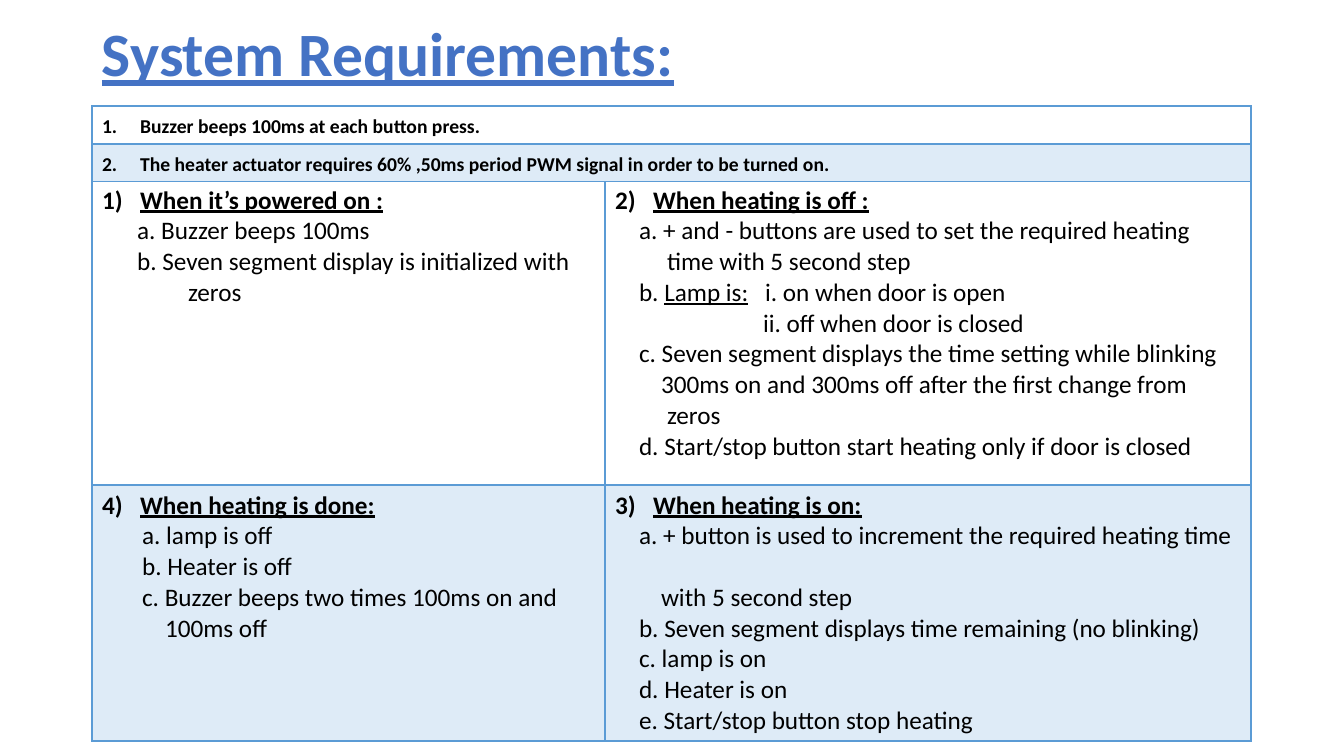
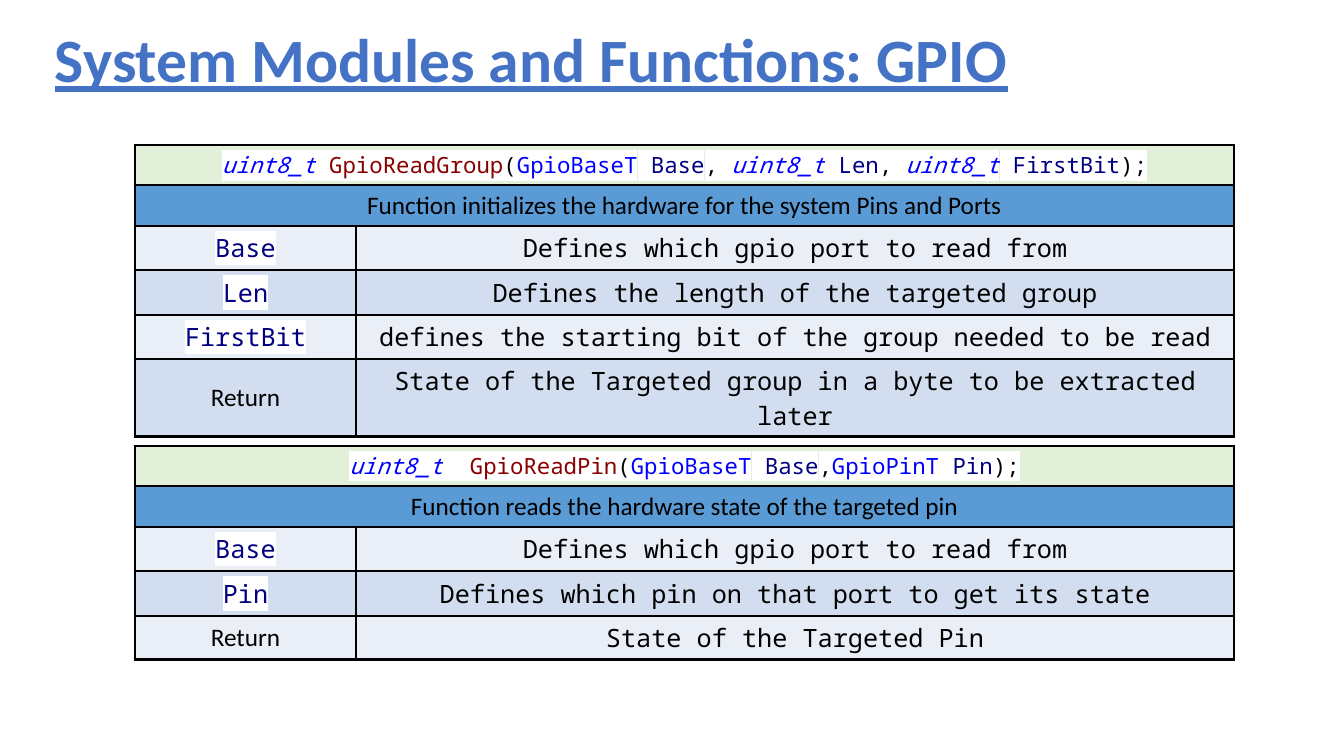
from dataclasses import dataclass

from lxml import etree
from pptx import Presentation
from pptx.dml.color import RGBColor
from pptx.enum.text import MSO_ANCHOR, PP_ALIGN
from pptx.oxml.ns import qn
from pptx.util import Emu, Pt

CENTER, LEFT = PP_ALIGN.CENTER, PP_ALIGN.LEFT
MIDDLE, TOP = MSO_ANCHOR.MIDDLE, MSO_ANCHOR.TOP
PX = 914400 / 100.8


@dataclass(frozen=True)
class Theme:
    body_font: str = "Calibri"
    code_font: str = "Noto Sans Mono"
    title_size: int = 44
    body_size: int = 18
    code_size: int = 16
    rule_size: int = 14
    title: str = "4472C4"
    ink: str = "000000"
    paper: str = "FFFFFF"
    accent: str = "5B9BD5"
    tint: str = "DEEBF7"
    prototype: str = "E2F0D9"
    bands: tuple = ("EAEFF7", "D2DEEF")
    code_type: str = "0000FF"
    code_function: str = "880000"
    code_argument: str = "000080"


T = Theme()


def write(frame, text, *, size=T.body_size, font=T.body_font, color=T.ink, bold=False,
          italic=False, underline=False, highlight=None, align=LEFT, line=None,
          before=0, margin=0, hanging=0, number=None, scheme="arabicParenR"):
    """Add one paragraph; text is a string or a list of (string, run format) pairs."""
    paragraph = frame.paragraphs[0]
    if paragraph.runs:
        paragraph = frame.add_paragraph()
    paragraph.alignment = align
    paragraph.space_before = Pt(before)
    if line:
        paragraph.line_spacing = line
    properties = paragraph._p.get_or_add_pPr()
    properties.set("marL", str(round(margin * PX)))
    properties.set("indent", str(round(-hanging * PX)))
    if number:
        etree.SubElement(properties, qn("a:buFont"), typeface="+mj-lt")
        etree.SubElement(properties, qn("a:buAutoNum"), type=scheme, startAt=str(number))
    base = dict(color=color, italic=italic, underline=underline)
    for words, changes in [(text, {})] if isinstance(text, str) else text:
        look = base | changes
        run = paragraph.add_run()
        run.text = words
        run.font.size = Pt(size)
        run.font.bold = bold
        run.font.italic = look["italic"]
        run.font.underline = look["underline"]
        run.font.color.rgb = RGBColor.from_string(look["color"])
        run.font.name = font
        if highlight:
            mark = etree.Element(qn("a:highlight"))
            etree.SubElement(mark, qn("a:srgbClr"), val=highlight)
            run.font._element.find(qn("a:latin")).addprevious(mark)


def style_cell(cell, fill, color, top, bottom, side, anchor):
    """Set the borders (in points), the fill and the anchor of a cell."""
    cell.vertical_anchor = anchor
    properties = cell._tc.get_or_add_tcPr()
    for edge, width in (("L", side), ("R", side), ("T", top), ("B", bottom)):
        border = etree.SubElement(properties, qn(f"a:ln{edge}"), w=str(Pt(width)))
        paint = etree.SubElement(border, qn("a:solidFill"))
        etree.SubElement(paint, qn("a:srgbClr"), val=color)
    if fill:
        cell.fill.solid()
        cell.fill.fore_color.rgb = RGBColor.from_string(fill)
    else:
        cell.fill.background()


# Content of the requirements slide: (text, left indent, further format)
rules = [
    "Buzzer beeps 100ms at each button press.",
    "The heater actuator requires 60% ,50ms period PWM signal in order to be turned on.",
]
powered_on = (1, "When it’s powered on :", [
    ("a. Buzzer beeps 100ms", 35, {}),
    ("b. Seven segment display is initialized with", 35, {}),
    ("zeros", 86, {}),
])
heating_off = (2, "When heating is off :", [
    ("a. + and - buttons are used to set the required heating", 24, {}),
    ("time with 5 second step", 52, {}),
    ([("b. ", {}), ("Lamp is:", {"underline": True}), ("\ti. on when door is open", {})],
     150, {"hanging": 126}),
    ("ii. off when door is closed", 148, {}),
    ("c. Seven segment displays the time setting while blinking", 24, {}),
    ("300ms on and 300ms off after the first change from", 46, {}),
    ("zeros", 52, {}),
    ("d. Start/stop button start heating only if door is closed", 24, {}),
])
heating_done = (4, "When heating is done:", [
    ("a. lamp is off", 40, {}),
    ("b. Heater is off", 40, {}),
    ("c. Buzzer beeps two times 100ms on and", 40, {}),
    ("100ms off", 63, {}),
])
heating_on = (3, "When heating is on:", [
    ("a. + button is used to increment the required heating time", 24, {}),
    ("with 5 second step", 46, {"before": 22}),
    ("b. Seven segment displays time remaining (no blinking)", 24, {}),
    ("c. lamp is on", 24, {}),
    ("d. Heater is on", 24, {}),
    ("e. Start/stop button stop heating", 24, {}),
])
states = [[powered_on, heating_off], [heating_done, heating_on]]

# Content of the GPIO slide
plain = {}
keyword = {"color": T.code_type, "italic": True}
typename = {"color": T.code_type}
function = {"color": T.code_function}
argument = {"color": T.code_argument}
read_group = (
    [("uint8_t", keyword), (" GpioReadGroup", function), ("(", plain),
     ("GpioBaseT", typename), (" Base", argument), (", ", plain),
     ("uint8_t", keyword), (" Len", argument), (", ", plain),
     ("uint8_t", keyword), (" FirstBit", argument), (");", plain)],
    "Function initializes the hardware for the system Pins and Ports",
    [("Base", "Defines which gpio port to read from"),
     ("Len", "Defines the length of the targeted group"),
     ("FirstBit", "defines the starting bit of the group needed to be read"),
     ("Return", "State of the Targeted group in a byte to be extracted later")],
    145, [40, 41, 44, 45, 44, 78])
read_pin = (
    [("uint8_t", keyword), ("  GpioReadPin", function), ("(", plain),
     ("GpioBaseT", typename), (" Base", argument), (",", plain),
     ("GpioPinT", typename), (" Pin", argument), (");", plain)],
    "Function reads the hardware state of the targeted pin",
    [("Base", "Defines which gpio port to read from"),
     ("Pin", "Defines which pin on that port to get its state"),
     ("Return", "State of the Targeted Pin")],
    446, [40, 41, 44, 45, 44])

# Every table: slide index, left, top, column widths, row heights
layouts = [
    (0, 92, 180, [513, 646], [305, 256]),
    (0, 92, 106, [1159], [38, 37]),
    *((1, 135, top, [221, 878], heights) for *_, top, heights in (read_group, read_pin)),
]

# Slides and titles
deck = Presentation()
deck.slide_width, deck.slide_height = Emu(round(1344 * PX)), Emu(round(756 * PX))
titles = [
    ("System Requirements:", (92, 18, 1159, 77)),
    ("System Modules and Functions: GPIO", (45, 17, 1279, 92)),
]
slides = []
for heading, box in titles:
    slide = deck.slides.add_slide(deck.slide_layouts[6])
    title = slide.shapes.add_textbox(*(Emu(round(length * PX)) for length in box)).text_frame
    title.word_wrap = True
    title.vertical_anchor = MIDDLE
    write(title, heading, size=T.title_size, color=T.title, bold=True, underline=True, line=0.9)
    slides.append(slide)

# Empty tables
tables = []
for page, left, top, widths, heights in layouts:
    frame = [left, top, sum(widths), sum(heights)]
    table = slides[page].shapes.add_table(
        len(heights), len(widths), *(Emu(round(length * PX)) for length in frame)).table
    table.first_row = table.horz_banding = False
    for column, width in zip(table.columns, widths):
        column.width = Emu(round(width * PX))
    for row, height in zip(table.rows, heights):
        row.height = Emu(round(height * PX))
    tables.append(table)
state_table, rule_table, *function_tables = tables

# Requirements: plain first row, tinted second row, heavier line between them
for table in (state_table, rule_table):
    for row, (fill, top, bottom) in enumerate([(None, 1, 2), (T.tint, 2, 1)]):
        for cell in table.rows[row].cells:
            style_cell(cell, fill, T.accent, top, bottom, 1, TOP)
for row, rule in enumerate(rules):
    write(rule_table.cell(row, 0).text_frame, rule, size=T.rule_size, bold=True, line=1.15,
          margin=38, hanging=38, number=row + 1, scheme="arabicPeriod")
for row, pair in enumerate(states):
    for column, (number, state, steps) in enumerate(pair):
        body = state_table.cell(row, column).text_frame
        write(body, state, bold=True, underline=True, margin=38, hanging=38, number=number)
        for step, margin, extra in steps:
            write(body, step, margin=margin, **extra)

# GPIO functions: prototype, purpose, then one banded row per parameter
for table, (prototype, purpose, parameters, *_) in zip(function_tables, (read_group, read_pin)):
    fills = [T.prototype, T.accent] + [T.bands[i % 2] for i in range(len(parameters))]
    for row, fill in enumerate(fills):
        for cell in table.rows[row].cells:
            style_cell(cell, fill, T.ink, 2.25, 2.25, 2.25, MIDDLE)
    for row in (0, 1):
        table.cell(row, 0).merge(table.cell(row, 1))
    write(table.cell(0, 0).text_frame, prototype, size=T.code_size, font=T.code_font,
          highlight=T.paper, align=CENTER)
    write(table.cell(1, 0).text_frame, purpose, align=CENTER)
    for row, (name, meaning) in enumerate(parameters, start=2):
        name_look = {} if name == "Return" else dict(
            font=T.code_font, color=T.code_argument, highlight=T.paper)
        write(table.cell(row, 0).text_frame, name, align=CENTER, **name_look)
        write(table.cell(row, 1).text_frame, meaning, font=T.code_font, align=CENTER)

deck.save("out.pptx")
